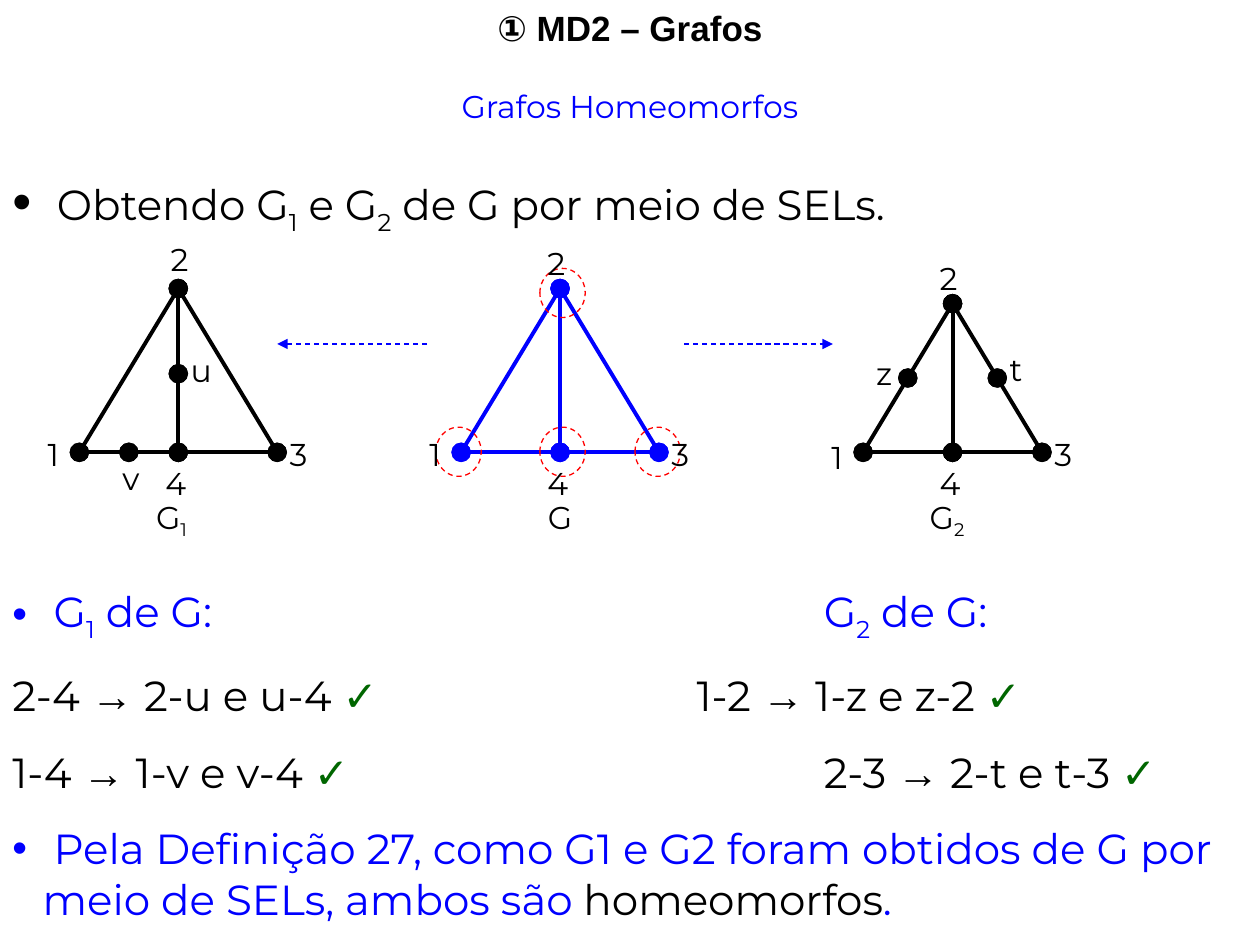
from dataclasses import dataclass

from lxml import etree
from pptx import Presentation
from pptx.dml.color import RGBColor
from pptx.enum.dml import MSO_LINE
from pptx.enum.shapes import MSO_CONNECTOR, MSO_SHAPE
from pptx.enum.text import MSO_AUTO_SIZE, PP_ALIGN
from pptx.oxml.ns import qn
from pptx.util import Inches, Pt

LINE, OVAL, DASH = MSO_CONNECTOR.STRAIGHT, MSO_SHAPE.OVAL, MSO_LINE.DASH
FIT, LEFT, CENTER = MSO_AUTO_SIZE.SHAPE_TO_FIT_TEXT, PP_ALIGN.LEFT, PP_ALIGN.CENTER


@dataclass(frozen=True)
class Theme:
    black: str = "000000"
    blue: str = "0000FF"
    red: str = "FF0000"
    green: str = "006600"
    sans: str = "Arial"
    main: str = "Montserrat"
    head: int = 20
    label: int = 18
    body: int = 24
    lead: int = 31
    thin: float = 0.75
    thick: float = 2.25


T = Theme()


# Text helpers
def add_box(shapes, x, y, w, h):
    box = shapes.add_textbox(Inches(x), Inches(y), Inches(w), Inches(h))
    frame = box.text_frame
    frame.word_wrap = True
    frame.auto_size = FIT
    return frame


def add_para(frame, first=False, align=LEFT, before=0, bullet=None, tab=None):
    para = frame.paragraphs[0] if first else frame.add_paragraph()
    props = para._p.get_or_add_pPr()
    if bullet:
        props.set("marL", str(Inches(0.24)))
        props.set("indent", str(-Inches(0.24)))
        tint = etree.SubElement(props, qn("a:buClr"))
        etree.SubElement(tint, qn("a:srgbClr"), val=bullet)
        etree.SubElement(props, qn("a:buFont"), typeface=T.sans)
        etree.SubElement(props, qn("a:buChar"), char="•")
    if tab:
        stops = etree.SubElement(props, qn("a:tabLst"))
        etree.SubElement(stops, qn("a:tab"), pos=str(Inches(tab)), algn="l")
    para.alignment = align
    if before:
        para.space_before = Pt(before)
    return para


def add_run(para, text, size=T.body, color=T.black, font=T.main, bold=False, sub=False):
    run = para.add_run()
    run.text = text
    run.font.size = Pt(size)
    run.font.name = font
    run.font.bold = bold
    run.font.color.rgb = RGBColor.from_string(color)
    if sub:
        run._r.get_or_add_rPr().set("baseline", "-25000")


def add_name(para, text, index, **style):
    add_run(para, text, **style)
    if index:
        add_run(para, index, sub=True, **style)


# Line helper
def add_line(shapes, start, end, color, width, dash=False, head=None, tail=None, size="med"):
    line = shapes.add_connector(LINE, *(Inches(v) for v in (*start, *end)))
    line.line.color.rgb = RGBColor.from_string(color)
    line.line.width = Pt(width)
    if dash:
        line.line.dash_style = DASH
    for tag, kind in (("a:headEnd", head), ("a:tailEnd", tail)):
        if kind:
            etree.SubElement(line.line._get_or_add_ln(), qn(tag), type=kind, w=size, len=size)
    etree.SubElement(line._element.spPr, qn("a:effectLst"))


# Nodes as fractions of the graph's box; label offsets from their node
CORNERS = {"1": (0, 1), "2": (0.5, 0), "3": (1, 1), "4": (0.5, 1)}
OFFSETS = {"1": (-0.35, -0.19), "2": (-0.2, -0.4), "3": (0, -0.19), "4": (-0.2, 0.04)}
RINGS = {"2": (-0.16, -0.16), "1": (-0.2, -0.2), "4": (-0.16, -0.2), "3": (-0.19, -0.2)}

GRAPHS = [
    dict(box=(0.63, 2.29, 1.57, 1.3), index="1", name_x=0.51,
         edges="23 2u u4 34 4v v1 21", extra={"u": (0.5, 0.52), "v": (0.25, 1)},
         moved={"2": (-0.16, -0.43), "u": (0, -0.23), "v": (-0.15, 0)}),
    dict(box=(3.66, 2.29, 1.57, 1.3), index="", name_x=0.59,
         edges="23 24 34 41 21", color=T.blue, rings=RINGS),
    dict(box=(6.85, 2.41, 1.42, 1.18), index="2", name_x=0.43,
         edges="2z z1 24 14 2t t3 34", extra={"z": (0.25, 0.5), "t": (0.75, 0.5)},
         moved={"1": (-0.35, -0.16), "z": (-0.35, -0.24), "t": (0, -0.27)}),
]


def draw_graph(slide, box, index, name_x, edges, extra={}, moved={}, color=T.black, rings={}):
    x, y, w, h = box
    shapes = slide.shapes.add_group_shape().shapes
    nodes = {key: (x + fx * w, y + fy * h) for key, (fx, fy) in {**CORNERS, **extra}.items()}
    for a, b in edges.split():
        add_line(shapes, nodes[a], nodes[b], color, T.thick, head="oval", tail="oval", size="lg")
    for key, (dx, dy) in rings.items():
        px, py = nodes[key]
        ring = shapes.add_shape(OVAL, Inches(px + dx), Inches(py + dy), Inches(0.36), Inches(0.39))
        ring.shadow.inherit = False
        ring.fill.background()
        ring.line.color.rgb = RGBColor.from_string(T.red)
        ring.line.width = Pt(T.thin)
        ring.line.dash_style = DASH
    for key, (dx, dy) in {**OFFSETS, **moved}.items():
        px, py = nodes[key]
        frame = add_box(shapes, px + dx, py + dy, 0.35, 0.4)
        add_run(add_para(frame, first=True), key, size=T.label)
    frame = add_box(shapes, x + name_x, y + h + 0.31, 0.59, 0.44)
    add_name(add_para(frame, first=True), "G", index, size=T.label)


def draw_head(slide, x, y, w):
    frame = add_box(slide.shapes, x, y, w, 0.44)
    add_run(add_para(frame, first=True, align=CENTER), "① MD2 – Grafos",
            size=T.head, font=T.sans, bold=True)
    # Subtitle and lead sentence
    frame = add_box(slide.shapes, x, y + 0.64, w, 1.29)
    add_run(add_para(frame, first=True, align=CENTER), "Grafos Homeomorfos",
            size=T.label, color=T.blue)
    para = add_para(frame, before=24, bullet=T.black)
    add_run(para, " ", size=T.lead)
    add_name(para, "Obtendo G", "1")
    add_name(para, " e G", "2")
    add_run(para, " de G por meio de SELs.")


def add_step(para, edge, parts):
    add_run(para, edge + " ")
    add_run(para, "→", font=T.sans)
    add_run(para, f" {parts} ")
    add_run(para, "✓", font=T.sans, color=T.green)


def draw_body(slide, x, y, w, h):
    frame = add_box(slide.shapes, x, y, w, h)
    para = add_para(frame, first=True, bullet=T.blue, tab=6.44)
    add_name(para, " G", "1", color=T.blue)
    add_name(para, " de G:\tG", "2", color=T.blue)
    add_run(para, " de G:", color=T.blue)
    # Edge subdivisions in two columns
    for tab, left, right in (
        (5.43, ("2-4", "2-u e u-4"), ("1-2", "1-z e z-2")),
        (6.44, ("1-4", "1-v e v-4"), ("2-3", "2-t e t-3")),
    ):
        para = add_para(frame, before=15, tab=tab)
        add_step(para, *left)
        add_run(para, "\t")
        add_step(para, *right)
    # Conclusion
    para = add_para(frame, before=15, bullet=T.blue)
    add_run(para, " Pela Definição 27, como G1 e G2 foram obtidos de G por meio de SELs, ambos são ",
            color=T.blue)
    add_run(para, "homeomorfos")
    add_run(para, ".", color=T.blue)


def main():
    deck = Presentation()
    deck.slide_width, deck.slide_height = Inches(10), Inches(7.5)
    slide = deck.slides.add_slide(deck.slide_layouts[6])
    draw_head(slide, 0, 0, 10)
    draw_body(slide, 0, 4.6, 10, 2.78)
    for start, end in ((3.39, 2.2), (5.43, 6.61)):
        add_line(slide.shapes, (start, 2.73), (end, 2.73), T.blue, T.thin, dash=True, tail="triangle")
    for graph in GRAPHS:
        draw_graph(slide, **graph)
    deck.save("out.pptx")


if __name__ == "__main__":
    main()
